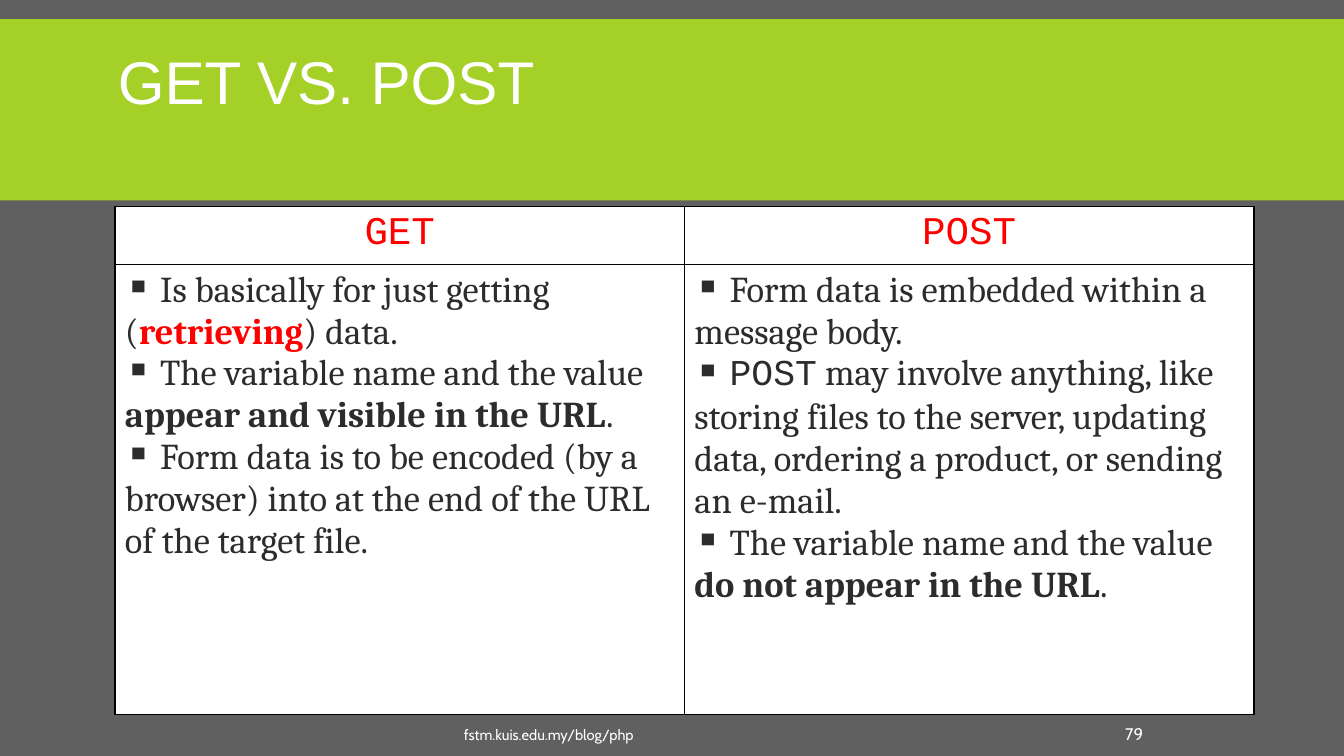
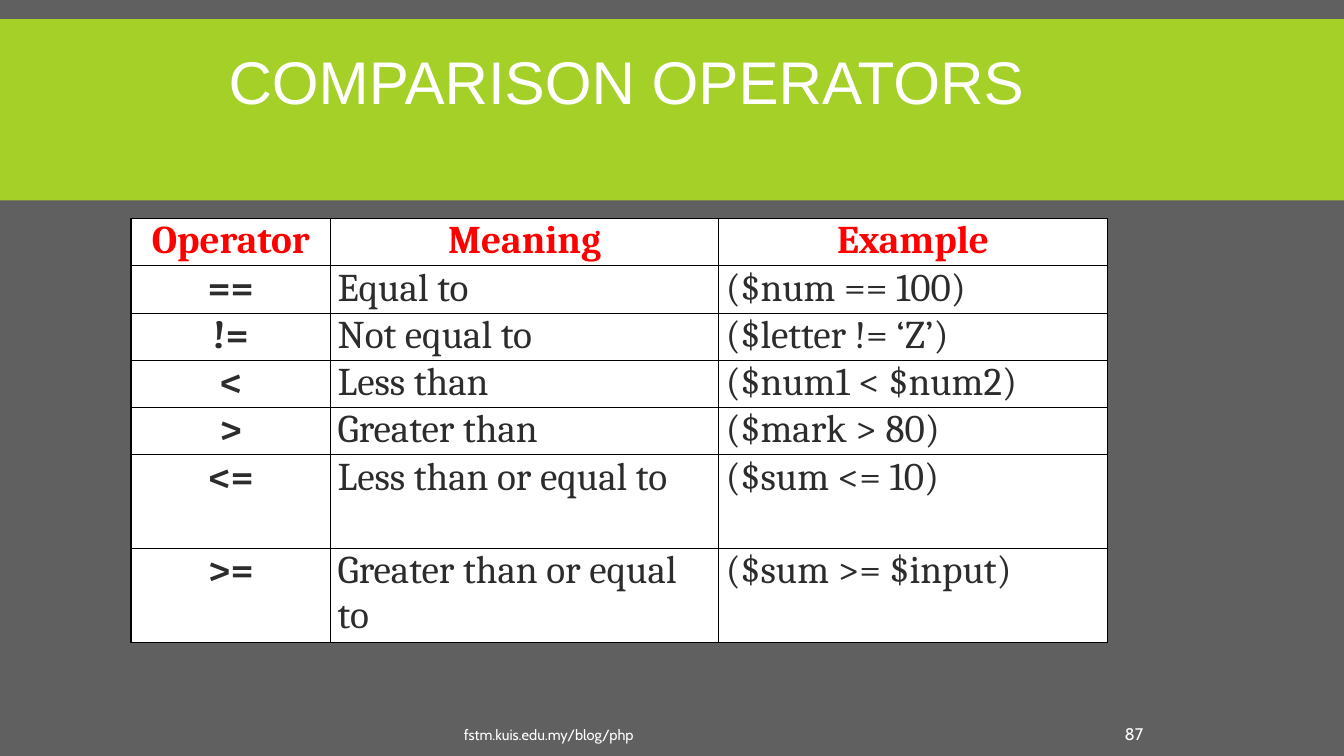
from lxml import etree
from pptx import Presentation
from pptx.dml.color import RGBColor
from pptx.enum.shapes import MSO_SHAPE as Shape
from pptx.enum.text import MSO_ANCHOR as Anchor, MSO_AUTO_SIZE as AutoSize, PP_ALIGN as Align
from pptx.oxml.ns import qn
from pptx.util import Cm, Pt

GREY = RGBColor(0x60, 0x60, 0x60)
GREEN = RGBColor(0xA5, 0xD0, 0x28)
WHITE = RGBColor(0xFF, 0xFF, 0xFF)
BLACK = RGBColor(0x00, 0x00, 0x00)
RED = RGBColor(0xFF, 0x00, 0x00)
INK = RGBColor(0x2C, 0x2C, 0x2C)

TITLE_RIGHT = 26.27


def write(para, spans, color, name, size, bold=False):
    """Add (text, changes) spans to a paragraph, starting from one base format."""
    for text, changes in spans:
        span = para.add_run()
        span.text = text
        look = {"name": name, "size": Pt(size), "bold": bold, **changes}
        span.font.color.rgb = look.pop("color", color)
        for key, value in look.items():
            setattr(span.font, key, value)


def add_grid(page, left, top, widths, heights, side, edge):
    """Add a white table with thin black borders; lengths in centimetres."""
    table = page.shapes.add_table(len(heights), len(widths), Cm(left), Cm(top),
                                  Cm(sum(widths)), Cm(sum(heights))).table
    table.first_row = table.horz_banding = False
    for column, width in zip(table.columns, widths):
        column.width = Cm(width)
    for row, height in zip(table.rows, heights):
        row.height = Cm(height)
    for cell in table.iter_cells():
        cell.margin_left = cell.margin_right = Cm(side)
        cell.margin_top = cell.margin_bottom = Cm(edge)
        properties = cell._tc.get_or_add_tcPr()
        for border in ("a:lnL", "a:lnR", "a:lnT", "a:lnB"):
            line = etree.SubElement(properties, qn(border), w=str(Pt(1)))
            paint = etree.SubElement(line, qn("a:solidFill"))
            etree.SubElement(paint, qn("a:srgbClr"), val=str(BLACK))
        cell.fill.solid()
        cell.fill.fore_color.rgb = WHITE
    return table


deck = Presentation()
deck.slide_width, deck.slide_height = Cm(33.87), Cm(19.05)
layout = deck.slide_layouts[5]
background = deck.slide_master.background.fill
background.solid()
background.fore_color.rgb = GREY

# Title and footer of each slide
pages = []
for heading, title_left, number in (("GET VS. POST", 2.72, "79"),
                                    ("COMPARISON OPERATORS", 5.51, "87")):
    page = deck.slides.add_slide(layout)
    pages.append(page)

    title = page.shapes.title
    title.left, title.top = Cm(title_left), Cm(0.43)
    title.width, title.height = Cm(TITLE_RIGHT - title_left), Cm(3.48)
    frame = title.text_frame
    for key, value in {"auto_size": AutoSize.NONE, "word_wrap": True,
                       "vertical_anchor": Anchor.MIDDLE,
                       "margin_left": Cm(0.25), "margin_right": Cm(0.13),
                       "margin_top": Cm(0.13), "margin_bottom": Cm(0.13)}.items():
        setattr(frame, key, value)
    para = frame.paragraphs[0]
    para.alignment, para.line_spacing = Align.LEFT, 0.85
    write(para, [(heading, {})], WHITE, "Arial", 43)

    for text, left, width, side, size, align in (
            ("fstm.kuis.edu.my/blog/php", 11.56, 15.29, 0.13, 10.5, Align.LEFT),
            (number, 27.03, 2.03, 0.25, 12, Align.RIGHT)):
        box = page.shapes.add_textbox(Cm(left), Cm(17.98), Cm(width), Cm(0.76))
        frame = box.text_frame
        for key, value in {"word_wrap": True, "vertical_anchor": Anchor.BOTTOM,
                           "margin_left": Cm(side), "margin_right": Cm(side),
                           "margin_top": Cm(0.13), "margin_bottom": 0}.items():
            setattr(frame, key, value)
        frame.paragraphs[0].alignment = align
        write(frame.paragraphs[0], [(text, {})], WHITE, "Cabin", size)

get_post, operators = pages

# Green band, moved to the layout so that every slide shares it
band = get_post.shapes.add_shape(Shape.RECTANGLE, 0, Cm(0.48), deck.slide_width, Cm(4.57))
band.shadow.inherit = False
band.fill.solid()
band.fill.fore_color.rgb = GREEN
band.line.fill.background()
layout.shapes._spTree.insert(2, band._element)

# GET and POST side by side
STRONG = {"bold": True}
comparison = [
    ("GET", [
        [(" Is basically for just getting (", {}),
         ("retrieving", {"bold": True, "color": RED}), (") data.", {})],
        [(" The variable name and the value ", {}),
         ("appear and visible in the URL", STRONG), (".", {})],
        [(" Form data is to be encoded (by a browser) into at the end of the URL "
          "of the target file.", {})],
    ]),
    ("POST", [
        [(" Form data is embedded within a message body.", {})],
        [(" ", {}), ("POST", {"name": "Courier New"}),
         (" may involve anything, like storing files to the server, updating data, "
          "ordering a product, or sending an e-mail.", {})],
        [(" The variable name and the value ", {}),
         ("do not appear in the URL", STRONG), (".", {})],
    ]),
]
table = add_grid(get_post, 2.9, 5.21, [14.35, 14.35], [1.45, 11.35], 0.25, 0.13)
for column, (method, points) in enumerate(comparison):
    para = table.cell(0, column).text_frame.paragraphs[0]
    para.alignment = Align.CENTER
    write(para, [(method, {})], RED, "Courier New", 28)
    frame = table.cell(1, column).text_frame
    for index, spans in enumerate(points):
        para = frame.add_paragraph() if index else frame.paragraphs[0]
        properties = para._p.get_or_add_pPr()
        properties.set("marL", "0")
        properties.set("indent", str(Cm(-0.46)))
        paint = etree.SubElement(properties, qn("a:buClr"))
        etree.SubElement(paint, qn("a:srgbClr"), val=str(INK))
        etree.SubElement(properties, qn("a:buChar"), char="▪")
        write(para, spans, INK, "Cambria", 26)

# Comparison operators
rows = [
    ("Operator", "Meaning", "Example"),
    ("==", "Equal to", "($num == 100)"),
    ("!=", "Not equal to", "($letter != ‘Z’)"),
    ("<", "Less than", "($num1 < $num2)"),
    (">", "Greater than", "($mark > 80)"),
    ("<=", "Less than or equal to", "($sum <= 10)"),
    (">=", "Greater than or equal to", "($sum >= $input)"),
]
table = add_grid(operators, 3.3, 5.51, [5.03, 9.78, 9.8],
                 [1.19] * 5 + [2.36] * 2, 0.18, 0)
for row, texts in enumerate(rows):
    for column, text in enumerate(texts):
        para = table.cell(row, column).text_frame.paragraphs[0]
        is_heading = row == 0 or column == 0
        para.alignment = Align.CENTER if is_heading else Align.LEFT
        write(para, [(text, {})], INK if row else RED, "Cambria", 28, is_heading)

deck.save("out.pptx")
